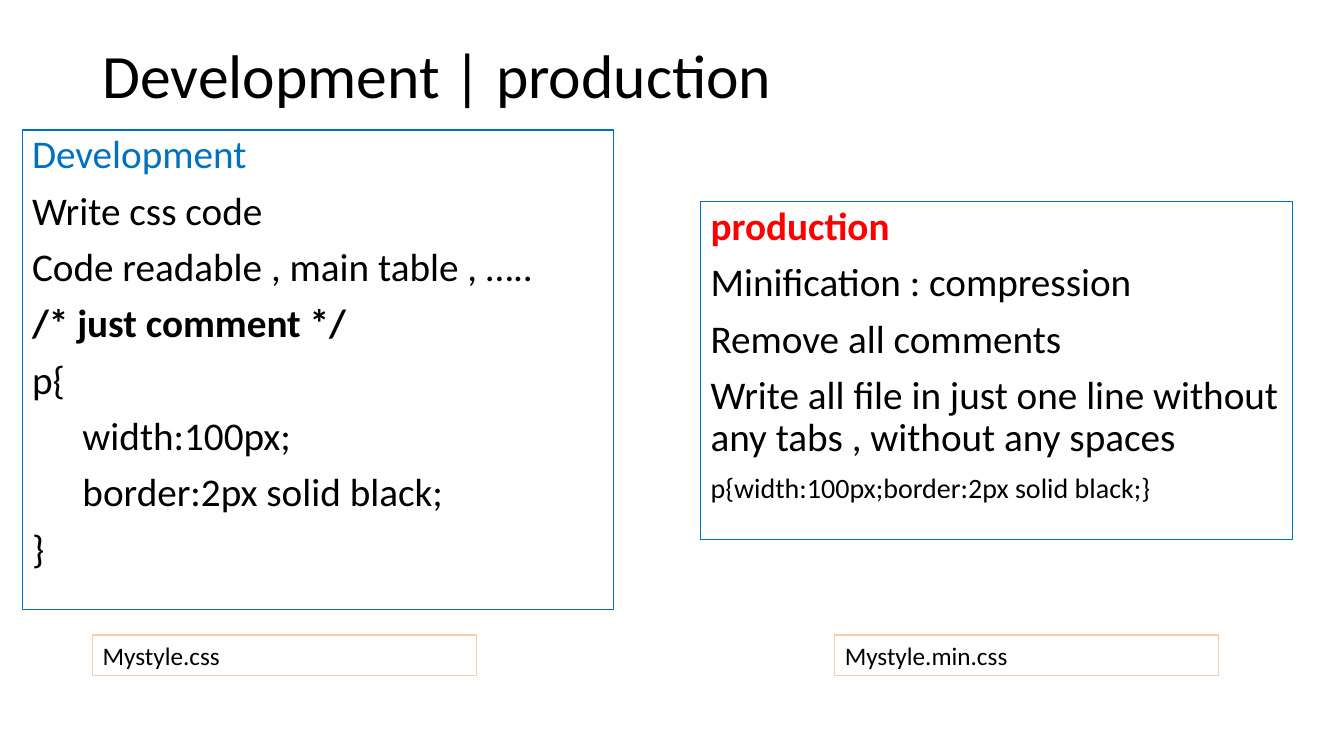
from pptx import Presentation
from pptx.dml.color import RGBColor
from pptx.enum.shapes import MSO_SHAPE
from pptx.enum.text import MSO_ANCHOR, PP_ALIGN
from pptx.util import Inches, Pt

RECT = MSO_SHAPE.RECTANGLE
TOP, LEFT = MSO_ANCHOR.TOP, PP_ALIGN.LEFT
FONT = "Calibri"
COLORS = {"black": "000000", "blue": "0070C0", "red": "FF0000", "peach": "F8CBAD"}

# Each line: text, size, colour, bold
TITLE = [("Development | production", 44, "black", False)]
DEVELOPMENT = [
    ("Development", 28, "blue", False),
    ("Write css code", 28, "black", False),
    ("Code readable , main table , …..", 28, "black", False),
    ("/* just comment */", 28, "black", True),
    ("p{", 28, "black", False),
    ("\twidth:100px;", 28, "black", False),
    ("\tborder:2px solid black;", 28, "black", False),
    ("}", 28, "black", False),
]
PRODUCTION = [
    ("production", 28, "red", True),
    ("Minification : compression", 28, "black", False),
    ("Remove all comments", 28, "black", False),
    ("Write all file in just one line without any tabs , without any spaces",
     28, "black", False),
    ("p{width:100px;border:2px solid black;}", 20, "black", False),
]
PANELS = [
    (0.22, 1.29, 4.76, DEVELOPMENT),
    (6.95, 2, 3.35, PRODUCTION),
]
PANEL_W = 5.87
FILES = [(0.92, "Mystyle.css"), (8.28, "Mystyle.min.css")]
FILE_Y, FILE_W, FILE_H = 6.3, 3.81, 0.4


def rgb(name):
    return RGBColor.from_string(COLORS[name])


def write(tf, lines, spacing):
    tf.word_wrap = True
    tf.vertical_anchor = TOP
    for i, (text, size, color, bold) in enumerate(lines):
        p = tf.paragraphs[0] if i == 0 else tf.add_paragraph()
        p.text = text
        p.alignment = LEFT
        p.line_spacing = spacing
        if i:
            p.space_before = Pt(10)
        p.font.name = FONT
        p.font.size = Pt(size)
        p.font.bold = bold
        p.font.color.rgb = rgb(color)


def add_box(s, x, y, w, h, border, lines, spacing):
    box = s.shapes.add_shape(RECT, Inches(x), Inches(y), Inches(w), Inches(h))
    box.shadow.inherit = False
    box.fill.background()
    box.line.color.rgb = rgb(border)
    box.line.width = Pt(0.75)
    write(box.text_frame, lines, spacing)


def main():
    prs = Presentation()
    prs.slide_width, prs.slide_height = Inches(13.33), Inches(7.5)
    s = prs.slides.add_slide(prs.slide_layouts[6])

    title = s.shapes.add_textbox(Inches(0.92), Inches(0.4), Inches(11.5), Inches(1.45))
    write(title.text_frame, TITLE, 0.9)

    for x, y, h, lines in PANELS:
        add_box(s, x, y, PANEL_W, h, "blue", lines, 0.9)
    for x, name in FILES:
        add_box(s, x, FILE_Y, FILE_W, FILE_H, "peach", [(name, 18, "black", False)], 1.0)

    prs.save("out.pptx")


if __name__ == "__main__":
    main()
